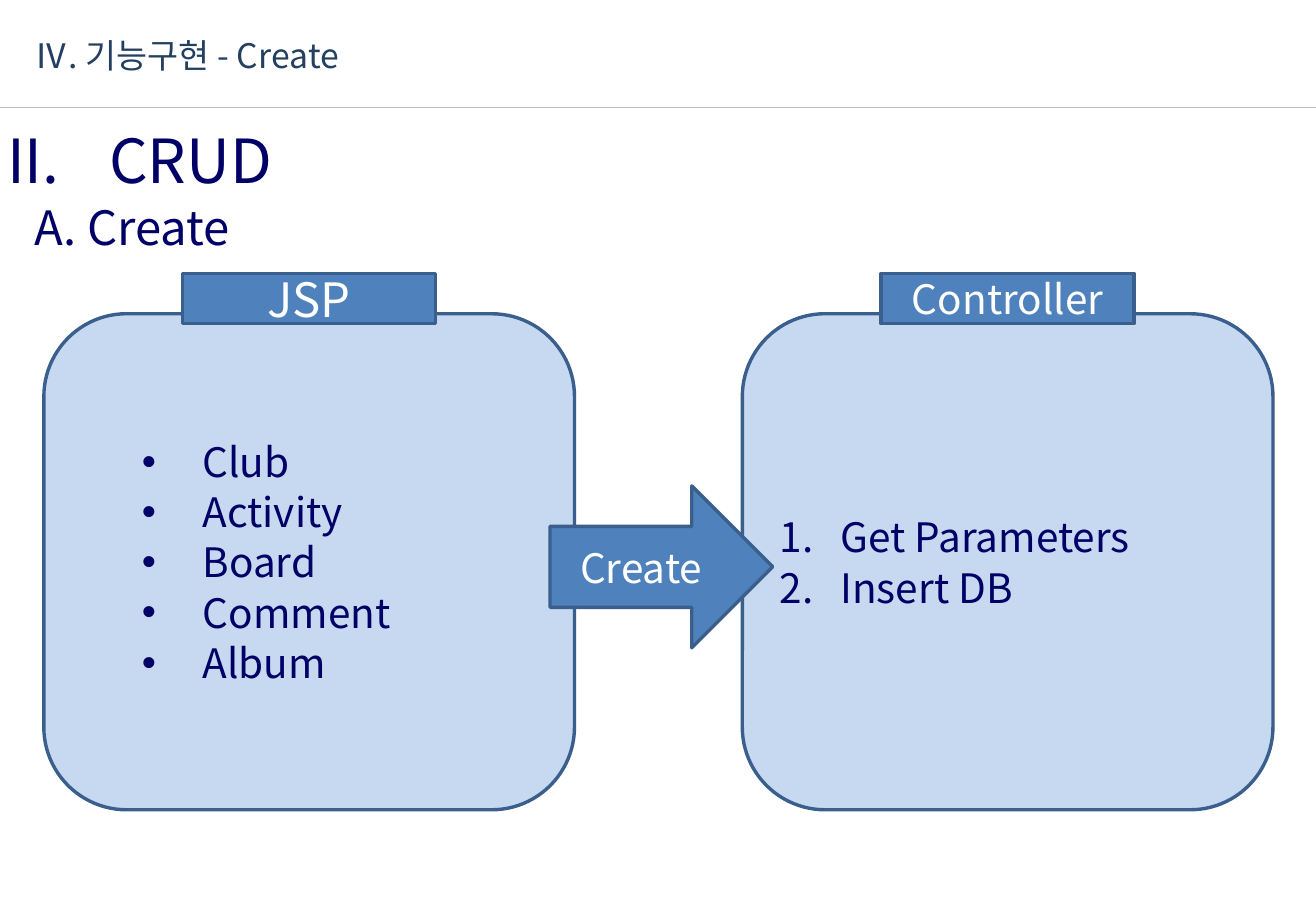
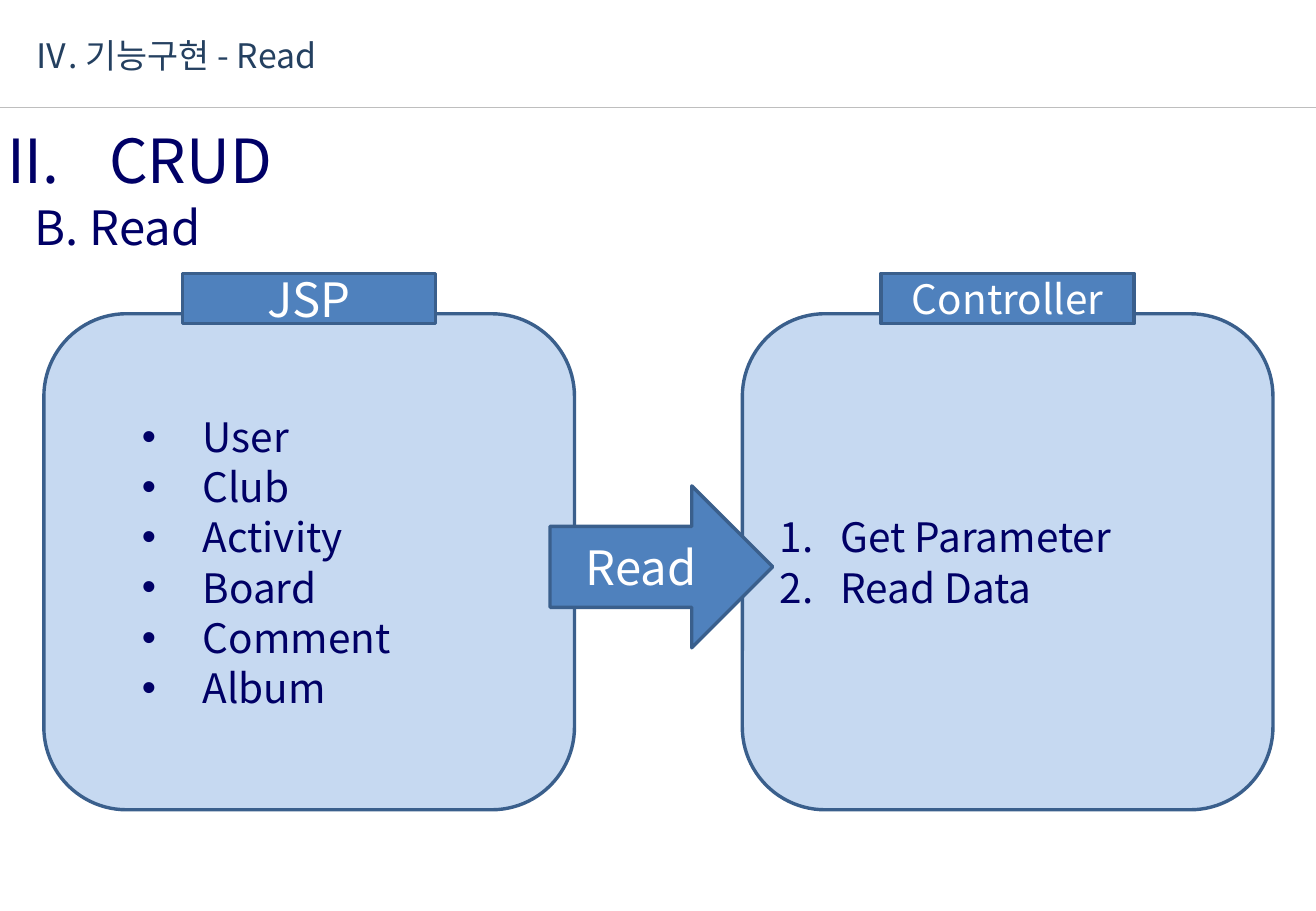
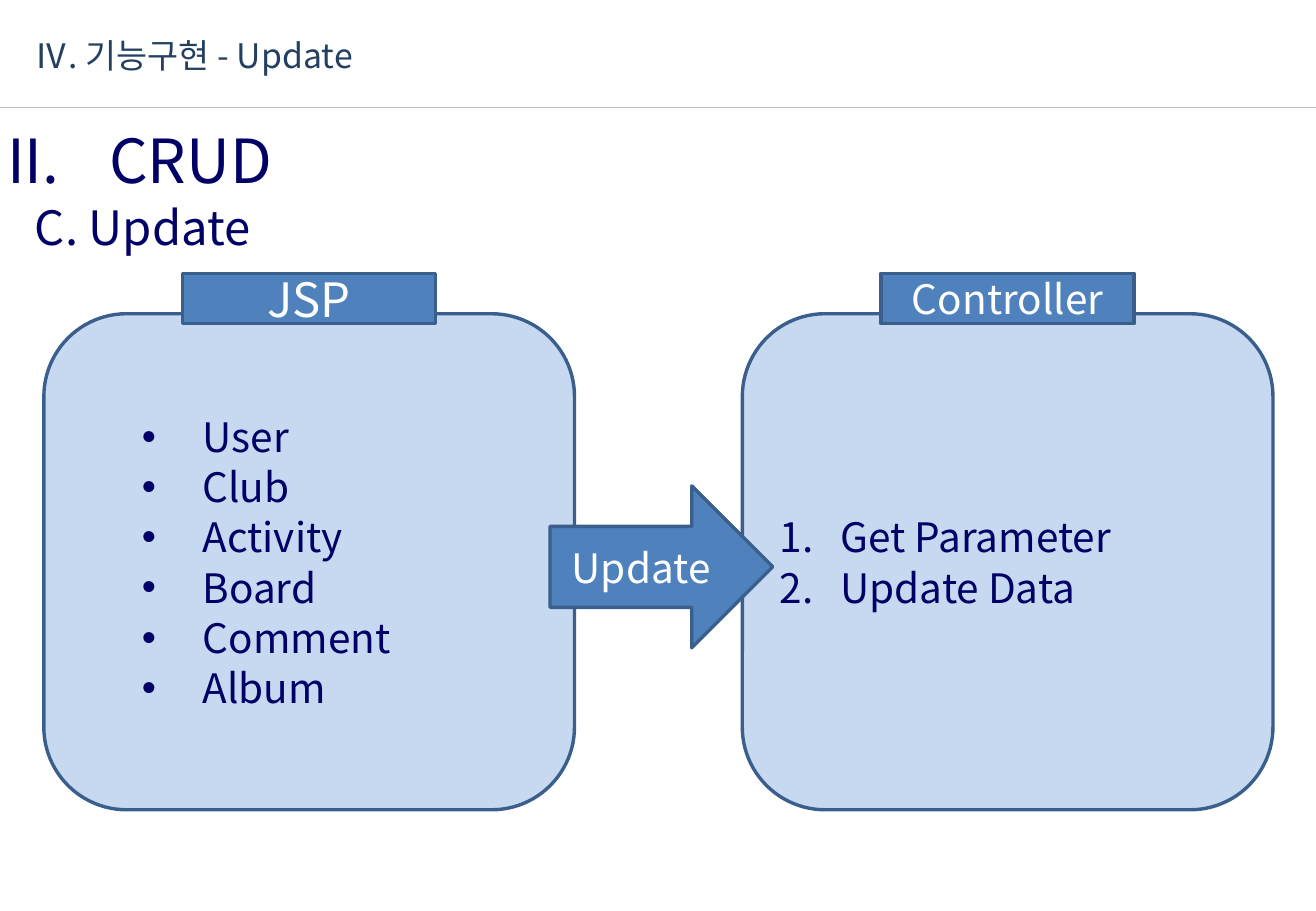
import pptx
import pptx.util
import pptx.oxml.ns
import pptx.dml.color
import pptx.enum.shapes
import pptx.enum.text
import lxml.etree

Pt = pptx.util.Pt
Shape = pptx.enum.shapes.MSO_SHAPE
Anchor = pptx.enum.text.MSO_ANCHOR
Align = pptx.enum.text.PP_ALIGN
qn = pptx.oxml.ns.qn

# Content
SECTION = "Ⅳ. 기능구현 - "
CHAPTER = "II. \tCRUD"
ENTITIES = ["Club", "Activity", "Board", "Comment", "Album"]
OPERATIONS = [
    {"letter": "A", "name": "Create", "arrow_size": 24,
     "entities": ENTITIES, "steps": ["Get Parameters", "Insert DB"]},
    {"letter": "B", "name": "Read", "arrow_size": 28,
     "entities": ["User"] + ENTITIES, "steps": ["Get Parameter", "Read Data"]},
    {"letter": "C", "name": "Update", "arrow_size": 24,
     "entities": ["User"] + ENTITIES, "steps": ["Get Parameter", "Update Data"]},
]


class Theme:
    font = "Noto Sans CJK KR"
    navy, slate, white = "000066", "244060", "FFFFFF"
    panel, accent, outline, rule = "C6D9F1", "4F81BD", "3A5F8C", "BEBEBE"
    section, chapter, heading, body = 20, 36, 28, 24
    line_height = 1.2


# Layout, in points
WIDTH, HEIGHT = 780, 540
RULE_TOP = 63.5
PANEL_TOP, PANEL_WIDTH, PANEL_HEIGHT = 186, 314.5, 294
PANEL_LEFTS = (26, 440)
LABEL_TOP, LABEL_WIDTH, LABEL_HEIGHT = 162, 150, 30
ARROW = (326, 288, 132, 96)
TAB_STOP, HANGING = 60.5, 36


def color(code):
    return pptx.dml.color.RGBColor.from_string(code)


def style(para, size, code, before=0):
    """Give one paragraph its spacing, font, size and colour."""
    para.line_spacing = Pt(size * Theme.line_height)
    para.space_before = Pt(before)
    for span in para.runs:
        span.font.size = Pt(size)
        span.font.name = Theme.font
        span.font.color.rgb = color(code)
        east_asian = lxml.etree.SubElement(span.font._element, qn("a:ea"))
        east_asian.set("typeface", Theme.font)


def add_heading(page, text, left, top, width, height, size, code):
    box = page.shapes.add_textbox(Pt(left), Pt(top), Pt(width), Pt(height))
    frame = box.text_frame
    frame.word_wrap = True
    frame.margin_left = frame.margin_right = frame.margin_bottom = 0
    frame.margin_top = Pt(0.7)
    frame.text = text
    para = frame.paragraphs[0]
    style(para, size, code, before=1)
    properties = para._p.get_or_add_pPr()
    properties.set("marL", str(Pt(0.7)))
    tabs = lxml.etree.SubElement(properties, qn("a:tabLst"))
    lxml.etree.SubElement(tabs, qn("a:tab"), pos=str(Pt(TAB_STOP)), algn="l")


def add_block(page, kind, left, top, width, height, fill):
    block = page.shapes.add_shape(kind, Pt(left), Pt(top), Pt(width), Pt(height))
    block.shadow.inherit = False
    block.fill.solid()
    block.fill.fore_color.rgb = color(fill)
    block.line.color.rgb = color(Theme.outline)
    block.line.width = Pt(2)
    block.text_frame.word_wrap = True
    block.text_frame.vertical_anchor = Anchor.MIDDLE
    return block


def add_caption(page, kind, bounds, text, size):
    block = add_block(page, kind, *bounds, Theme.accent)
    block.text_frame.text = text
    para = block.text_frame.paragraphs[0]
    para.alignment = Align.CENTER
    style(para, size, Theme.white)


def add_panel(page, left, label, label_size, items, numbered):
    """A rounded panel with a list, and a label centred on its top edge."""
    panel = add_block(page, Shape.ROUNDED_RECTANGLE, left, PANEL_TOP,
                      PANEL_WIDTH, PANEL_HEIGHT, Theme.panel)
    panel.text_frame.text = "\n".join(items)
    for para in panel.text_frame.paragraphs:
        para.alignment = Align.LEFT
        para.level = 0 if numbered else 1
        style(para, Theme.body, Theme.navy, before=1)
        properties = para._p.get_or_add_pPr()
        margin = HANGING * (para.level + 1) + 0.7
        properties.set("marL", str(Pt(margin)))
        properties.set("indent", str(Pt(-HANGING)))
        if numbered:
            lxml.etree.SubElement(properties, qn("a:buAutoNum"), type="arabicPeriod")
        else:
            lxml.etree.SubElement(properties, qn("a:buFont"), typeface="Arial")
            lxml.etree.SubElement(properties, qn("a:buChar"), char="•")
    label_left = left + (PANEL_WIDTH - LABEL_WIDTH) / 2
    add_caption(page, Shape.RECTANGLE,
                (label_left, LABEL_TOP, LABEL_WIDTH, LABEL_HEIGHT), label, label_size)


def add_frame(page, name):
    """The rule, chapter and section title that every slide shares."""
    rule = page.shapes.add_connector(pptx.enum.shapes.MSO_CONNECTOR.STRAIGHT,
                                     Pt(WIDTH), Pt(RULE_TOP), 0, Pt(RULE_TOP))
    rule.line.color.rgb = color(Theme.rule)
    rule.line.width = Pt(0.25)
    lxml.etree.SubElement(rule._element.spPr, qn("a:effectLst"))
    add_heading(page, CHAPTER, 3.5, 72, 314.5, 45, Theme.chapter, Theme.navy)
    add_heading(page, SECTION + name, 20, 20, 280, 25, Theme.section, Theme.slate)


def build_slide(deck, operation):
    page = deck.slides.add_slide(deck.slide_layouts[6])
    name = operation["name"]
    add_frame(page, name)
    add_panel(page, PANEL_LEFTS[0], "JSP", Theme.heading, operation["entities"], False)
    add_panel(page, PANEL_LEFTS[1], "Controller", Theme.body, operation["steps"], True)
    add_caption(page, Shape.RIGHT_ARROW, ARROW, name, operation["arrow_size"])
    add_heading(page, f"{operation['letter']}. {name}", 20, 117, 697, 140,
                Theme.heading, Theme.navy)


def main():
    deck = pptx.Presentation()
    deck.slide_width, deck.slide_height = Pt(WIDTH), Pt(HEIGHT)
    for operation in OPERATIONS:
        build_slide(deck, operation)
    deck.save("out.pptx")


if __name__ == "__main__":
    main()
